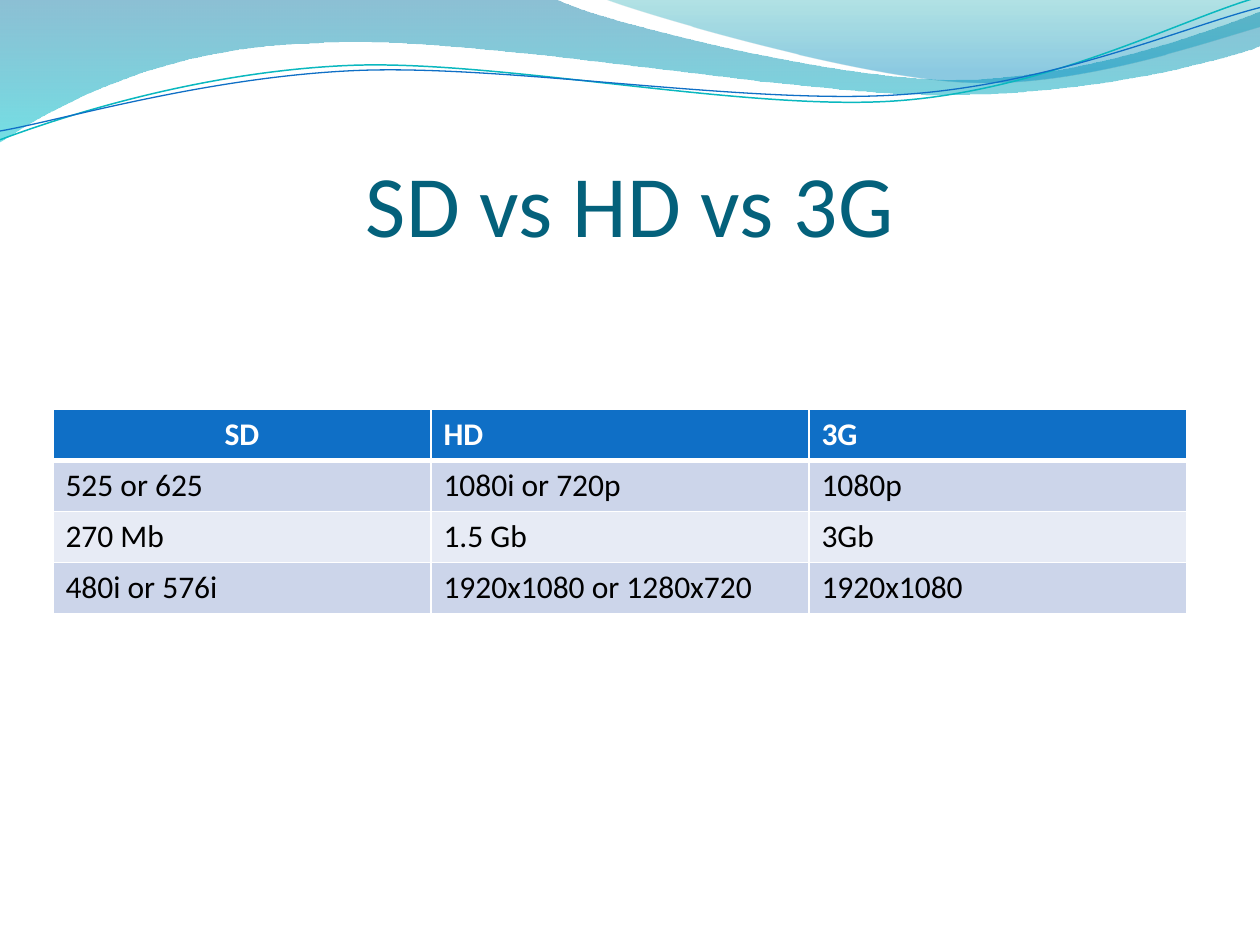
from pptx import Presentation
from pptx.dml.color import RGBColor
from pptx.enum.text import MSO_ANCHOR as Anchor, PP_ALIGN as Align
from pptx.oxml import parse_xml
from pptx.oxml.ns import nsdecls, qn
from pptx.util import Inches, Pt
from lxml.etree import SubElement

FONT = "Calibri"

# Outlines in inches: a start point, then one list per segment.
# One point makes a line, three make a Bezier curve.
WAVE = ((0, 0), [
    [(4.4, -0.01)],
    [(4.76, 0.17), (6.64, 0.63), (7.58, 0.63)],
    [(8.53, 0.63), (9.58, 0.26), (10, 0.09)],
    [(10.01, 0.36)],
    [(9.83, 0.44), (8.7, 0.76), (7.46, 0.75)],
    [(6.22, 0.75), (3.82, 0.28), (2.57, 0.34)],
    [(1.29, 0.36), (0.46, 0.83), (-0.01, 1.13)],
    [(0, 0)]])
CREST = ((4.79, -0.01), [
    [(5.09, 0.11), (6.82, 0.62), (7.69, 0.65)],
    [(8.56, 0.69), (9.61, 0.32), (10, 0.21)],
    [(10, 0)],
    [(4.79, -0.01)]])
TEAL = ((0, 1.11), [
    [(0.48, 0.93), (1.58, 0.57), (2.77, 0.52)],
    [(3.95, 0.47), (5.93, 0.89), (7.13, 0.8)],
    [(8.33, 0.71), (9.38, 0.15), (9.98, -0.02)]])
BLUE = ((0, 1.04), [
    [(0.47, 0.96), (1.64, 0.61), (2.83, 0.56)],
    [(4.03, 0.51), (5.97, 0.84), (7.17, 0.75)],
    [(8.36, 0.67), (9.41, 0.21), (10, 0.06)]])

ROWS = [
    ("SD", "HD", "3G"),
    ("525 or 625", "1080i or 720p", "1080p"),
    ("270 Mb", "1.5 Gb", "3Gb"),
    ("480i or 576i", "1920x1080 or 1280x720", "1920x1080")]
FILLS = ["0F6FC6", "CCD5EA", "E7EBF5", "CCD5EA"]


def paint(color, code):
    """Set a colour from a hex string."""
    color.rgb = RGBColor.from_string(code)


def style(para, size, code, bold=False):
    """Set the font of a paragraph."""
    font = para.font
    font.name, font.size, font.bold = FONT, Pt(size), bold
    paint(font.color, code)


def add_curve(slide, outline, closed=False):
    """Draw an outline made of lines and Bezier curves."""
    def grid(point):
        return tuple(round(v * 100) for v in point)

    start, parts = outline
    pen = slide.shapes.build_freeform(*grid(start), scale=Inches(0.01))
    pen.add_line_segments([grid(p) for part in parts for p in part], close=closed)
    shape = pen.convert_to_shape()
    shape.shadow.inherit = False
    lines = shape.element.findall(".//" + qn("a:lnTo"))
    for part in parts:
        group, lines = lines[:len(part)], lines[len(part):]
        if len(part) == 3:
            curve = parse_xml(f"<a:cubicBezTo {nsdecls('a')}/>")
            group[0].addprevious(curve)
            for line in group:
                curve.append(line[0])
                line.getparent().remove(line)
    return shape


def add_wave(slide, outline, stops):
    """Draw a see-through wave; stops hold place, colour and opacity."""
    shape = add_curve(slide, outline, closed=True)
    shape.line.fill.background()
    fill = shape.fill
    fill.gradient()
    fill.gradient_angle = 270
    for stop, (place, code, _) in zip(fill.gradient_stops, stops):
        stop.position = place
        paint(stop.color, code)
    colors = shape.element.spPr.iter(qn("a:srgbClr"))
    for color, (_, _, alpha) in zip(colors, stops):
        SubElement(color, qn("a:alpha")).set("val", str(alpha * 1000))


def add_strand(slide, outline, code, width):
    """Draw a thin curved line."""
    shape = add_curve(slide, outline)
    shape.fill.background()
    shape.line.width = Pt(width)
    paint(shape.line.color, code)


def add_banner(slide):
    """Draw the waves and strands along the top edge."""
    add_wave(slide, WAVE, [(0, "0074A1", 45), (1, "00C6CF", 55)])
    add_wave(slide, CREST, [(0, "00A1A9", 30), (0.8, "008BBF", 45)])
    add_strand(slide, TEAL, "0AB8BF", 0.85)
    add_strand(slide, BLUE, "0F6FC6", 0.75)


def add_title(slide, text, left, top, width, height):
    """Add the centred title at the foot of its box."""
    box = slide.shapes.add_textbox(*map(Inches, (left, top, width, height)))
    frame = box.text_frame
    frame.word_wrap = True
    frame.vertical_anchor = Anchor.BOTTOM
    frame.margin_left = frame.margin_right = frame.margin_bottom = 0
    para = frame.paragraphs[0]
    para.text, para.alignment = text, Align.CENTER
    style(para, 50, "04617B")


def add_edges(cell, widths):
    """Give a cell white borders; widths are in points by side."""
    props = cell._tc.get_or_add_tcPr()
    for spot, (side, width) in enumerate(widths.items()):
        props.insert(spot, parse_xml(
            f'<a:ln{side} {nsdecls("a")} w="{Pt(width)}"><a:solidFill>'
            f'<a:srgbClr val="FFFFFF"/></a:solidFill></a:ln{side}>'))


def add_grid(slide, rows, left, top, width, height):
    """Add the table with a header row and banded body."""
    table = slide.shapes.add_table(
        len(rows), len(rows[0]), *map(Inches, (left, top, width, height))).table
    for r, row in enumerate(rows):
        head = r == 0
        for c, text in enumerate(row):
            cell = table.cell(r, c)
            cell.fill.solid()
            paint(cell.fill.fore_color, FILLS[r])
            add_edges(cell, {"L": 1, "R": 1, "T": 3 if r == 1 else 1,
                             "B": 3 if head else 1})
            para = cell.text_frame.paragraphs[0]
            para.text = text
            style(para, 18, "FFFFFF" if head else "000000", head)
    table.cell(0, 0).text_frame.paragraphs[0].alignment = Align.CENTER


deck = Presentation()
deck.slide_width, deck.slide_height = Inches(10), Inches(7.5)
slide = deck.slides.add_slide(deck.slide_layouts[6])
add_banner(slide)
add_title(slide, "SD vs HD vs 3G", 0.5, 0.77, 9, 1.25)
add_grid(slide, ROWS, 0.42, 3.25, 9, 1.62)
deck.save("out.pptx")
